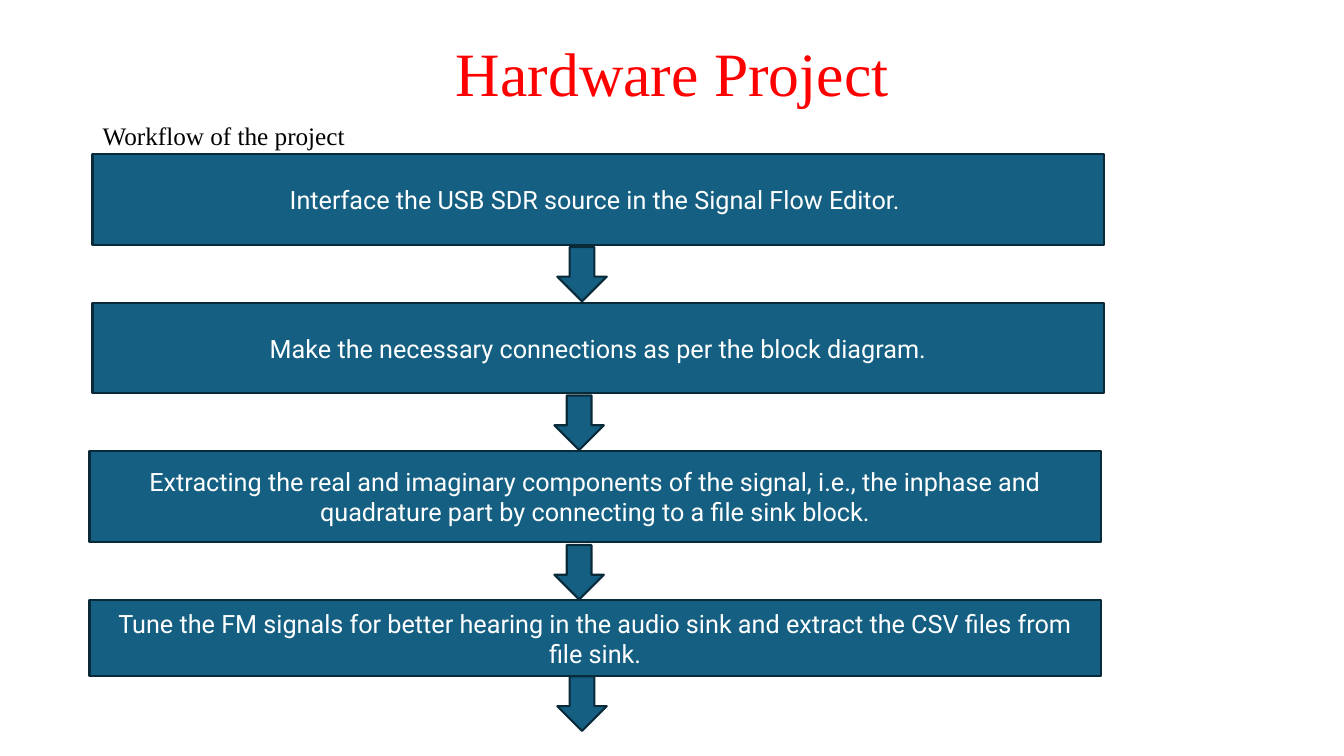
from dataclasses import dataclass

from pptx import Presentation
from pptx import util as u
from pptx.dml.color import RGBColor
from pptx.enum import shapes, text


@dataclass(frozen=True)
class Theme:
    title_color: RGBColor = RGBColor(0xFF, 0x00, 0x00)
    body_color: RGBColor = RGBColor(0x00, 0x00, 0x00)
    step_fill: RGBColor = RGBColor(0x15, 0x60, 0x82)
    step_line: RGBColor = RGBColor(0x09, 0x2A, 0x39)
    step_text: RGBColor = RGBColor(0xFF, 0xFF, 0xFF)
    heading_font: str = "Times New Roman"
    step_font: str = "Roboto"
    title_size: int = 44
    body_size: int = 18
    line_width: float = 1.5


@dataclass(frozen=True)
class Box:
    left: float
    top: float
    width: float
    height: float

    def inner(self, left, top, width, height):
        return Box(self.left + left, self.top + top, width, height)

    def lengths(self):
        return (
            int(SLIDE_WIDTH * self.left / 100),
            int(SLIDE_HEIGHT * self.top / 100),
            int(SLIDE_WIDTH * self.width / 100),
            int(SLIDE_HEIGHT * self.height / 100),
        )


@dataclass(frozen=True)
class Step:
    caption: str
    shift: float
    height: float
    gap: float
    arrow_shift: float


THEME = Theme()
SLIDE_WIDTH = u.Inches(13.33)
SLIDE_HEIGHT = u.Inches(7.5)
STEP_PITCH = 19.65
ARROW_LEFT = 34.59
ARROW_WIDTH = 3.68
ARROW_HEIGHT = 7.2

STEPS = [
    Step("Interface the USB SDR source in the Signal Flow Editor. ", 0, 12, 0.27, 0),
    Step("Make the necessary connections as per the block diagram.", 0, 12, 0.27, -0.22),
    Step(
        "Extracting the real and imaginary components of the signal, i.e., "
        "the inphase and quadrature part by connecting to a file sink block.",
        -0.22, 12, 0.4, -0.22,
    ),
    Step(
        "Tune the FM signals for better hearing in the audio sink and "
        "extract the CSV files from file sink.",
        -0.22, 10.13, 0, 0,
    ),
]


def write_text(shape, words, font_name, size, color, alignment):
    frame = shape.text_frame
    frame.text = words
    frame.word_wrap = True
    paragraph = frame.paragraphs[0]
    paragraph.alignment = alignment
    for run in paragraph.runs:
        run.font.name = font_name
        run.font.size = u.Pt(size)
        run.font.color.rgb = color
    return paragraph


def add_title(slide, box):
    title = slide.shapes.title
    title.left, title.top, title.width, title.height = box.lengths()
    paragraph = write_text(
        title, "Hardware Project\v", THEME.heading_font, THEME.title_size,
        THEME.title_color, text.PP_ALIGN.CENTER,
    )
    paragraph.line_spacing = 0.9
    title.text_frame.auto_size = text.MSO_AUTO_SIZE.NONE
    title.text_frame.vertical_anchor = text.MSO_ANCHOR.MIDDLE


def add_subtitle(slide, box):
    subtitle = slide.shapes.add_textbox(*box.lengths())
    write_text(
        subtitle, "Workflow of the project", THEME.heading_font,
        THEME.body_size, THEME.body_color, text.PP_ALIGN.LEFT,
    )


def add_block(slide, kind, box):
    block = slide.shapes.add_shape(kind, *box.lengths())
    block.shadow.inherit = False
    block.fill.solid()
    block.fill.fore_color.rgb = THEME.step_fill
    block.line.color.rgb = THEME.step_line
    block.line.width = u.Pt(THEME.line_width)
    return block


def add_workflow(slide, box):
    for index, step in enumerate(STEPS):
        top = index * STEP_PITCH
        step_box = box.inner(step.shift, top, box.width, step.height)
        block = add_block(slide, shapes.MSO_SHAPE.RECTANGLE, step_box)
        write_text(
            block, step.caption, THEME.step_font, THEME.body_size,
            THEME.step_text, text.PP_ALIGN.CENTER,
        )
        block.text_frame.vertical_anchor = text.MSO_ANCHOR.MIDDLE
        arrow_box = box.inner(
            ARROW_LEFT + step.arrow_shift, top + step.height + step.gap,
            ARROW_WIDTH, ARROW_HEIGHT,
        )
        add_block(slide, shapes.MSO_SHAPE.DOWN_ARROW, arrow_box)


def main():
    presentation = Presentation()
    presentation.slide_width = SLIDE_WIDTH
    presentation.slide_height = SLIDE_HEIGHT
    slide = presentation.slides.add_slide(presentation.slide_layouts[5])
    add_title(slide, Box(6.9, 5.33, 86.27, 19.33))
    add_subtitle(slide, Box(6.9, 15.2, 88.15, 5.33))
    add_workflow(slide, Box(6.88, 20.4, 75.24, 76.27))
    presentation.save("out.pptx")


if __name__ == "__main__":
    main()
